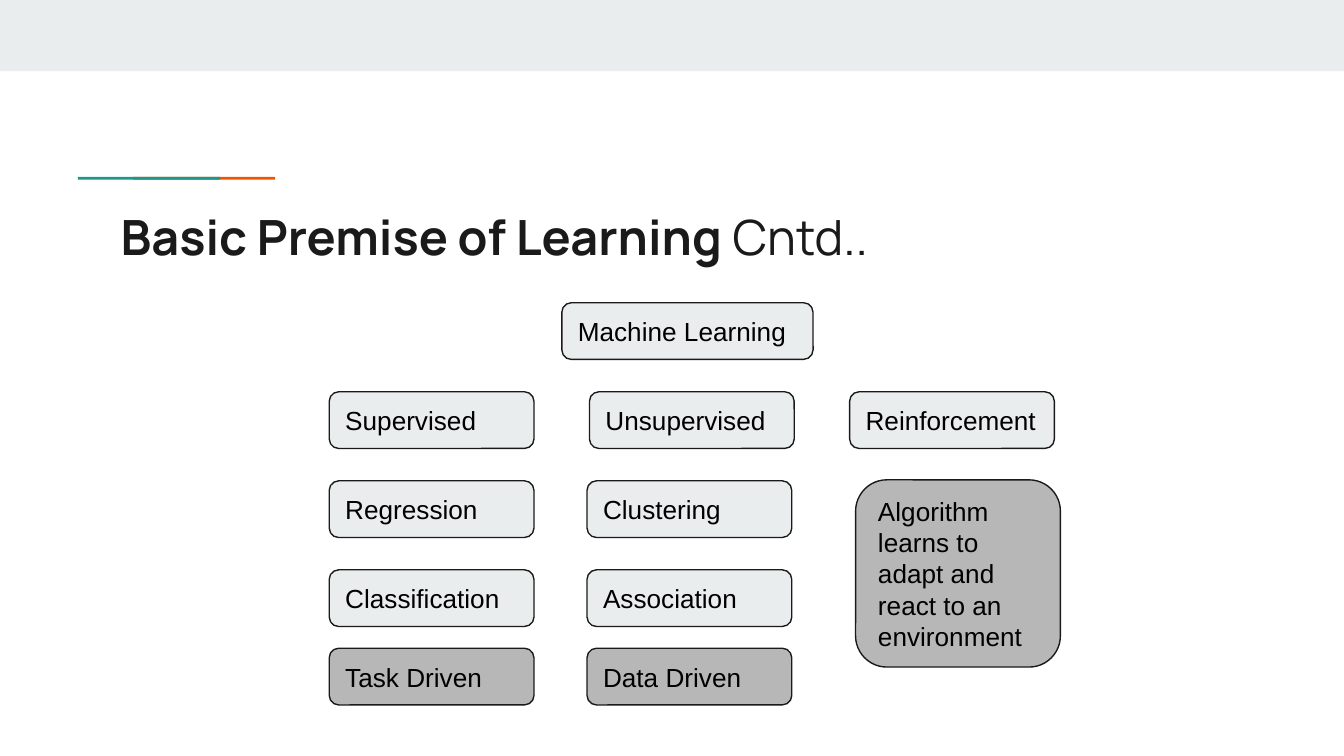
from pptx import Presentation
from pptx.dml.color import RGBColor
from pptx.enum.shapes import MSO_SHAPE
from pptx.enum.text import MSO_ANCHOR, PP_ALIGN
from pptx.util import Pt

PALE = RGBColor(0xE9, 0xED, 0xEE)
GREY = RGBColor(0xB7, 0xB7, 0xB7)
INK = RGBColor(0x1A, 0x1A, 0x1A)
BLACK = RGBColor(0x00, 0x00, 0x00)
TEAL = RGBColor(0x1A, 0x99, 0x88)
ORANGE = RGBColor(0xEB, 0x56, 0x00)

NODE_WIDTH, NODE_HEIGHT = 109.7, 30.4
FIRST_ROW, ROW_STEP = 162.2, 47.7
BOTTOM_ROW = 347.3
LEFT_COLUMN, MIDDLE_COLUMN = 176.4, 314.5
BRANCH_STEP = 139.4


def add_bar(page, left, top, width, height, color):
    bar = page.shapes.add_shape(
        MSO_SHAPE.RECTANGLE, Pt(left), Pt(top), Pt(width), Pt(height))
    bar.shadow.inherit = False
    bar.fill.solid()
    bar.fill.fore_color.rgb = color
    bar.line.fill.background()


def prepare_frame(box, anchor):
    frame = box.text_frame
    frame.word_wrap = True
    frame.vertical_anchor = anchor
    frame.margin_left = frame.margin_right = Pt(7.2)
    frame.margin_top = frame.margin_bottom = Pt(7.2)
    return frame.paragraphs[0]


def add_span(para, text, *, size=14, font="Arial", color=BLACK, bold=False):
    span = para.add_run()
    span.text = text
    span.font.size = Pt(size)
    span.font.name = font
    span.font.color.rgb = color
    span.font.bold = bold


def add_node(page, text, left, top, width=NODE_WIDTH, height=NODE_HEIGHT, fill=PALE):
    box = page.shapes.add_shape(
        MSO_SHAPE.ROUNDED_RECTANGLE, Pt(left), Pt(top), Pt(width), Pt(height))
    box.shadow.inherit = False
    box.adjustments[0] = 0.167
    box.fill.solid()
    box.fill.fore_color.rgb = fill
    box.line.color.rgb = INK
    box.line.width = Pt(0.75)
    para = prepare_frame(box, MSO_ANCHOR.MIDDLE)
    para.alignment = PP_ALIGN.LEFT
    add_span(para, text)


def add_title(page):
    box = page.shapes.add_textbox(Pt(57.6), Pt(103.7), Pt(605.5), Pt(42.5))
    para = prepare_frame(box, MSO_ANCHOR.TOP)
    title_format = {"size": 26, "font": "Manrope", "color": INK}
    add_span(para, "Basic Premise of Learning ", bold=True, **title_format)
    add_span(para, "Cntd..", **title_format)


def add_tree(page):
    add_node(page, "Machine Learning", 301, FIRST_ROW, width=134.6)
    for column, branch in enumerate(["Supervised", "Unsupervised", "Reinforcement"]):
        add_node(page, branch, LEFT_COLUMN + column * BRANCH_STEP, FIRST_ROW + ROW_STEP)

    columns = [
        (LEFT_COLUMN, ["Regression", "Classification"], "Task Driven"),
        (MIDDLE_COLUMN, ["Clustering", "Association"], "Data Driven"),
    ]
    for left, methods, driver in columns:
        for row, method in enumerate(methods, start=2):
            add_node(page, method, left, FIRST_ROW + row * ROW_STEP)
        add_node(page, driver, left, BOTTOM_ROW, fill=GREY)

    add_node(page, "Algorithm learns to adapt and react to an environment",
             458.4, 257.1, height=100.3, fill=GREY)


def main():
    deck = Presentation()
    deck.slide_width, deck.slide_height = Pt(720), Pt(405)
    page = deck.slides.add_slide(deck.slide_layouts[6])
    add_bar(page, 0, 0, 720, 38.2, PALE)
    add_bar(page, 71.3, 94.8, 76.2, 1.5, ORANGE)
    add_bar(page, 41.8, 94.8, 76.2, 1.5, TEAL)
    add_tree(page)
    add_title(page)
    deck.save("out.pptx")


if __name__ == "__main__":
    main()
